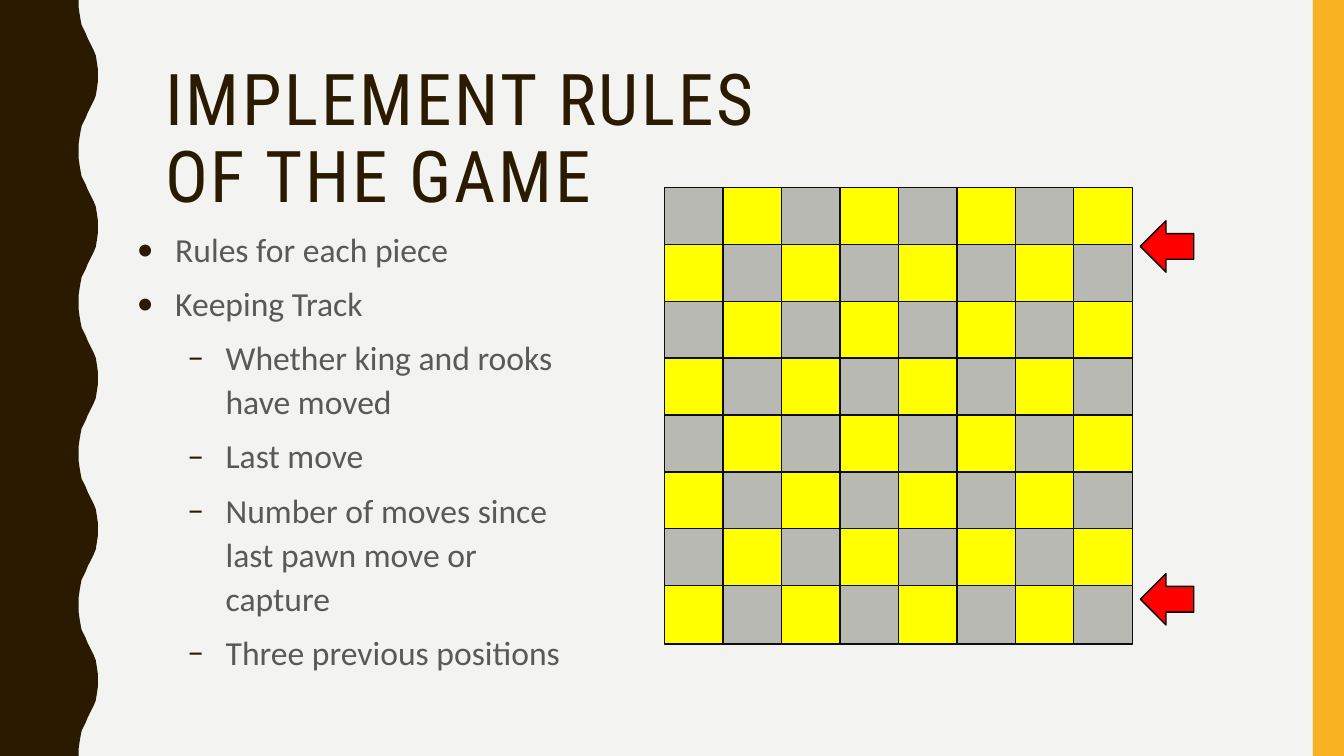
from lxml.etree import SubElement
from pptx import Presentation
from pptx.dml.color import RGBColor
from pptx.enum.shapes import MSO_SHAPE as Shape
from pptx.enum.text import MSO_ANCHOR as Anchor
from pptx.oxml.ns import qn
from pptx.util import Inches, Pt

COLORS = {
    "background": "F3F3F2",
    "brown": "2A1A00",
    "gold": "F8B323",
    "text": "595959",
    "yellow": "FFFF00",
    "gray": "B9B9B3",
    "outline": "0D0D0D",
    "red": "FF0000",
    "black": "000000",
}
RULES = [
    (0, "Rules for each piece"),
    (0, "Keeping Track"),
    (1, "Whether king and rooks have moved"),
    (1, "Last move"),
    (1, "Number of moves since last pawn move or capture"),
    (1, "Three previous positions"),
]
BULLETS = [("•", 0.38), ("–", 0.88)]
HALF_WAVE = [
    (0.78, 0), (0.78, 0.07), (0.79, 0.14), (0.8, 0.2), (0.81, 0.25),
    (0.83, 0.29), (0.85, 0.33), (0.87, 0.38), (0.89, 0.42), (0.91, 0.46),
    (0.93, 0.5), (0.95, 0.55), (0.96, 0.61), (0.97, 0.68), (0.97, 0.75),
]
WAVE_LENGTH = 1.5
BOARD_SIZE = 8
SQUARE = 0.58


def color(name):
    return RGBColor.from_string(COLORS[name])


def paint(shape, fill, outline=None):
    shape.shadow.inherit = False
    shape.fill.solid()
    shape.fill.fore_color.rgb = color(fill)
    if outline:
        shape.line.color.rgb = color(outline)
        shape.line.width = Pt(1)
    else:
        shape.line.fill.background()


def add_preset(page, kind, box, fill, outline=None):
    shape = page.shapes.add_shape(kind, *map(Inches, box))
    paint(shape, fill, outline)


def add_text_frame(page, box, anchor):
    frame = page.shapes.add_textbox(*map(Inches, box)).text_frame
    frame.word_wrap = True
    frame.vertical_anchor = anchor
    return frame


def add_span(para, text, font, size, fill):
    span = para.add_run()
    span.text = text
    span.font.name = font
    span.font.size = Pt(size)
    span.font.color.rgb = color(fill)
    return span


def add_wavy_edge(page, box):
    left, top, width, height = box
    wave = HALF_WAVE + [(x, WAVE_LENGTH - y) for x, y in HALF_WAVE[-2::-1]]
    edge = [
        (left + x, top + period * WAVE_LENGTH + y)
        for period in range(round(height / WAVE_LENGTH))
        for x, y in wave
    ]
    points = edge + [(left, top + height)]
    builder = page.shapes.build_freeform(Inches(left), Inches(top))
    builder.add_line_segments([(Inches(x), Inches(y)) for x, y in points])
    paint(builder.convert_to_shape(), "brown")


def add_title(page, box):
    para = add_text_frame(page, box, Anchor.MIDDLE).paragraphs[0]
    para.line_spacing = 0.9
    for index, line in enumerate(["IMPLEMENT RULES", "OF THE GAME"]):
        if index:
            para.add_line_break()
        span = add_span(para, line, "Roboto Condensed", 51, "brown")
        span.font._element.set("spc", "200")


def set_bullet(para, level):
    symbol, indent = BULLETS[level]
    para.level = level
    properties = para._p.get_or_add_pPr()
    properties.set("marL", str(Inches(indent)))
    properties.set("indent", str(Inches(-0.38)))
    bullet_color = SubElement(properties, qn("a:buClr"))
    SubElement(bullet_color, qn("a:srgbClr")).set("val", COLORS["brown"])
    SubElement(properties, qn("a:buFont")).set("typeface", "Calibri")
    SubElement(properties, qn("a:buChar")).set("char", symbol)


def add_rules(page, box):
    frame = add_text_frame(page, box, Anchor.TOP)
    for index, (level, text) in enumerate(RULES):
        para = frame.add_paragraph() if index else frame.paragraphs[0]
        set_bullet(para, level)
        para.line_spacing = 1.1
        if index:
            para.space_before = Pt(7)
        add_span(para, text, "Calibri", 24, "text")


def add_board(page, box):
    left, top, width, height = box
    column_step = (width - SQUARE) / (BOARD_SIZE - 1)
    row_step = (height - SQUARE) / (BOARD_SIZE - 1)
    for row in range(BOARD_SIZE):
        for column in range(BOARD_SIZE):
            fill = "yellow" if (row + column) % 2 else "gray"
            square = (left + column * column_step, top + row * row_step, SQUARE, SQUARE)
            add_preset(page, Shape.RECTANGLE, square, fill, "outline")


def add_row_arrows(page, box):
    left, top, width, height = box
    arrow_height = 0.51
    for arrow_top in (top, top + height - arrow_height):
        arrow = (left, arrow_top, width, arrow_height)
        add_preset(page, Shape.LEFT_ARROW, arrow, "red", "black")


def build_rules_slide(deck):
    page = deck.slides.add_slide(deck.slide_layouts[6])
    page.background.fill.solid()
    page.background.fill.fore_color.rgb = color("background")
    add_wavy_edge(page, (0, 0, 0.97, 7.5))
    add_preset(page, Shape.RECTANGLE, (13.02, 0, 0.31, 7.5), "gold")
    add_rules(page, (1.26, 2.18, 4.5, 4.76))
    add_board(page, (6.59, 1.86, 4.64, 4.53))
    add_row_arrows(page, (11.31, 2.19, 0.53, 4.01))
    add_title(page, (1.54, 0.58, 11.13, 1.63))


def main():
    deck = Presentation()
    deck.slide_width = Inches(13.33)
    deck.slide_height = Inches(7.5)
    build_rules_slide(deck)
    deck.save("out.pptx")


if __name__ == "__main__":
    main()
